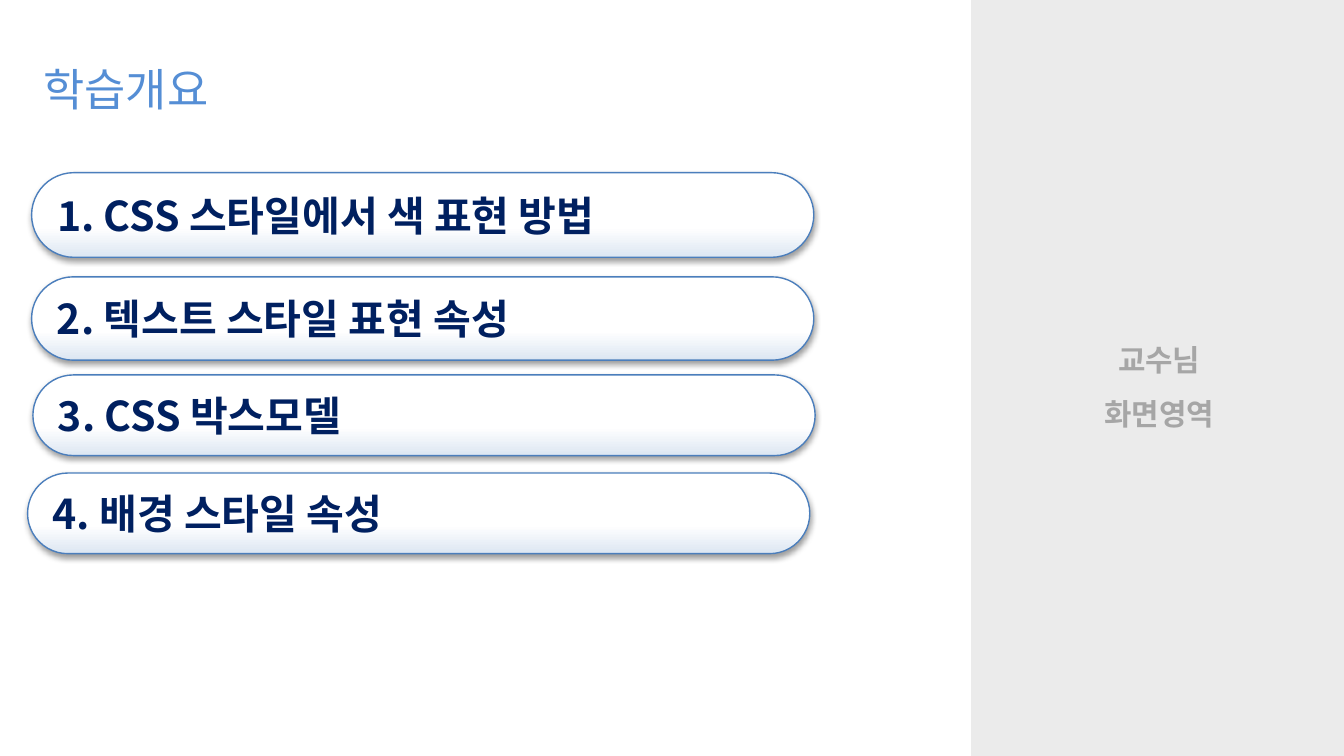
from dataclasses import dataclass

from lxml import etree
from pptx import Presentation
from pptx import util as u
from pptx.dml.color import RGBColor
from pptx.enum import shapes, text
from pptx.oxml import ns, parse_xml

CELL = 0.1  # inches per grid column and row
COLUMNS, ROWS = 100, 56.25
COLORS = {
    "panel": "D9D9D9",
    "panel_text": "A6A6A6",
    "title": "558ED5",
    "topic_text": "002060",
    "topic_line": "4B7EBC",
    "tint": "DCE6F2",
    "white": "FFFFFF",
    "shadow": "000000",
}
KOREAN_FONT = "Noto Sans CJK KR"


@dataclass(frozen=True)
class Area:
    """A rectangle in grid columns and rows."""
    column: float
    row: float
    columns: float
    rows: float

    def lengths(self) -> list[u.Length]:
        return [u.Inches(n * CELL) for n in (self.column, self.row, self.columns, self.rows)]


@dataclass(frozen=True)
class TextStyle:
    size: float
    color: str
    font: str = KOREAN_FONT
    bold: bool = False
    align: text.PP_ALIGN = text.PP_ALIGN.LEFT
    spacing: float = 1.0


@dataclass(frozen=True)
class Topic:
    label: str
    column: float
    row: float
    rows: float


TITLE_STYLE = TextStyle(24, "title", spacing=1.1)
TOPIC_STYLE = TextStyle(22, "topic_text", bold=True)
PANEL_STYLE = TextStyle(16, "panel_text", "Arial", True, text.PP_ALIGN.CENTER, 1.5)
TOPIC_COLUMNS = 58.2
TOPICS = [
    Topic("1. CSS 스타일에서 색 표현 방법", 2.35, 12.85, 6.3),
    Topic("2. 텍스트 스타일 표현 속성", 2.35, 20.6, 6.2),
    Topic("3. CSS 박스모델", 2.45, 27.9, 6.0),
    Topic("4. 배경 스타일 속성", 2.05, 35.2, 6.0),
]


def rgb(name: str) -> RGBColor:
    return RGBColor.from_string(COLORS[name])


def write(shape, lines: list[str], style: TextStyle) -> None:
    frame = shape.text_frame
    frame.word_wrap = True
    for index, line in enumerate(lines):
        paragraph = frame.add_paragraph() if index else frame.paragraphs[0]
        paragraph.alignment = style.align
        paragraph.line_spacing = style.spacing
        run = paragraph.add_run()
        run.text = line
        run.font.size = u.Pt(style.size)
        run.font.bold = style.bold
        run.font.name = style.font
        run.font.color.rgb = rgb(style.color)


def add_box(slide, kind: shapes.MSO_SHAPE, area: Area):
    shape = slide.shapes.add_shape(kind, *area.lengths())
    shape.shadow.inherit = False
    shape.text_frame.vertical_anchor = text.MSO_ANCHOR.MIDDLE
    return shape


def add_panel(slide) -> None:
    panel = add_box(slide, shapes.MSO_SHAPE.RECTANGLE, Area(72.25, 0, 28, ROWS))
    panel.fill.solid()
    panel.fill.fore_color.rgb = rgb("panel")
    color = panel._element.spPr.find(".//" + ns.qn("a:srgbClr"))
    etree.SubElement(color, ns.qn("a:alpha")).set("val", "50000")
    panel.line.fill.background()
    write(panel, ["교수님", "화면영역"], PANEL_STYLE)


def add_title(slide) -> None:
    title = slide.shapes.add_textbox(*Area(2.25, 3.7, 66.8, 5.1).lengths())
    write(title, ["학습개요"], TITLE_STYLE)


def fill_upward(shape) -> None:
    """Fade from a tint at the bottom edge to white."""
    shape.fill.gradient()
    shape.fill.gradient_angle = 90
    stops = shape._element.spPr.find(".//" + ns.qn("a:gsLst"))
    for stop in list(stops):
        stops.remove(stop)
    for percent, color in ((0, "tint"), (35, "white"), (100, "white")):
        stop = etree.SubElement(stops, ns.qn("a:gs"), pos=str(percent * 1000))
        etree.SubElement(stop, ns.qn("a:srgbClr"), val=COLORS[color])


def add_shadow(shape) -> None:
    effects = shape._element.spPr.find(ns.qn("a:effectLst"))
    effects.append(parse_xml(
        f'<a:outerShdw {ns.nsdecls("a")} blurRad="{u.Pt(3.1)}" dist="{u.Pt(1.6)}" '
        f'dir="5400000" rotWithShape="0"><a:srgbClr val="{COLORS["shadow"]}">'
        '<a:alpha val="38000"/></a:srgbClr></a:outerShdw>'
    ))


def add_topic(slide, topic: Topic) -> None:
    area = Area(topic.column, topic.row, TOPIC_COLUMNS, topic.rows)
    pill = add_box(slide, shapes.MSO_SHAPE.ROUNDED_RECTANGLE, area)
    pill.adjustments[0] = 0.5
    fill_upward(pill)
    pill.line.color.rgb = rgb("topic_line")
    pill.line.width = u.Pt(0.75)
    add_shadow(pill)
    write(pill, [topic.label], TOPIC_STYLE)


def main() -> None:
    presentation = Presentation()
    presentation.slide_width = u.Inches(COLUMNS * CELL)
    presentation.slide_height = u.Inches(ROWS * CELL)
    slide = presentation.slides.add_slide(presentation.slide_layouts[6])
    add_panel(slide)
    add_title(slide)
    for topic in TOPICS:
        add_topic(slide, topic)
    presentation.save("out.pptx")


if __name__ == "__main__":
    main()
